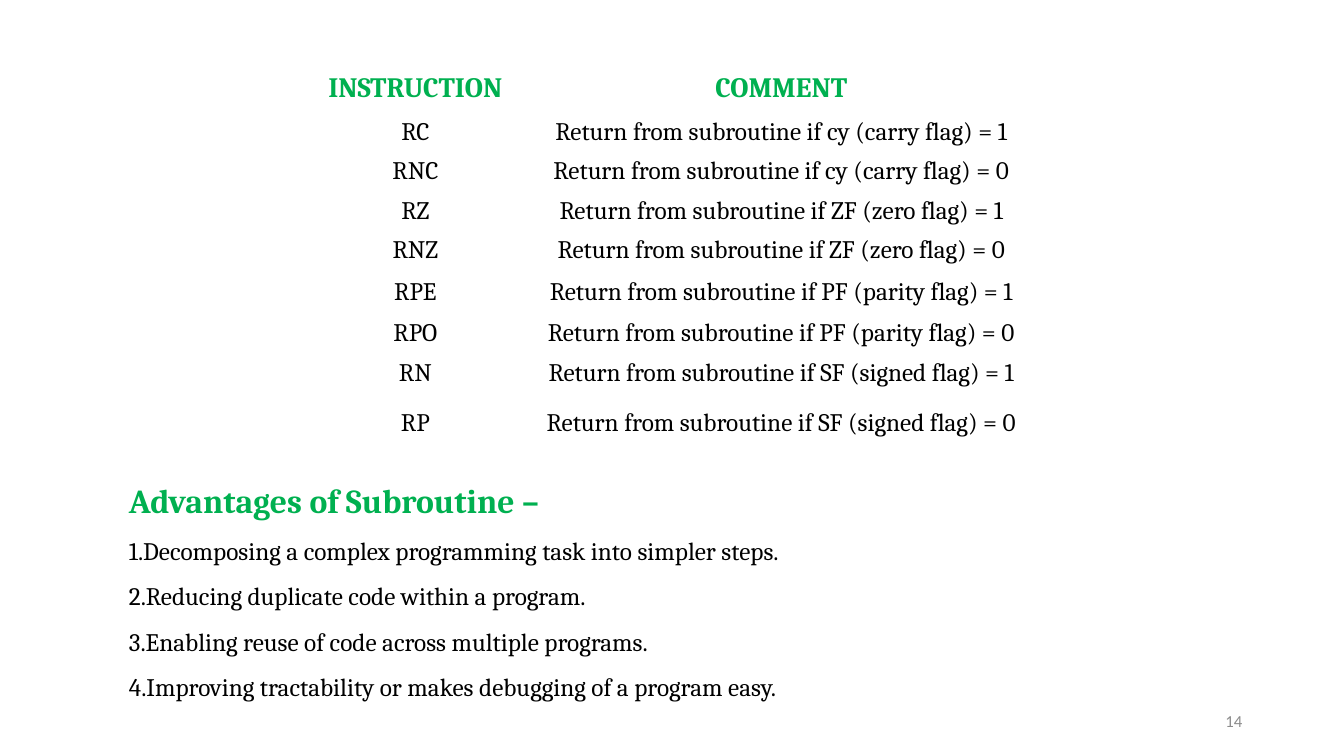
"""Build the slide on conditional return instructions and the advantages of subroutines."""
from lxml import etree
from pptx import Presentation
from pptx.dml.color import RGBColor
from pptx.enum.text import MSO_ANCHOR, MSO_AUTO_SIZE, PP_ALIGN
from pptx.oxml.ns import qn
from pptx.util import Inches, Pt

CENTER, JUSTIFY, RIGHT = PP_ALIGN.CENTER, PP_ALIGN.JUSTIFY, PP_ALIGN.RIGHT
MIDDLE = MSO_ANCHOR.MIDDLE
GROW = MSO_AUTO_SIZE.SHAPE_TO_FIT_TEXT
COLORS = {"heading": "00B050", "body": "000000", "number": "8C8C8C", "cell": "FFFFFF"}


def style(paragraph, size, color, align, bold=False, font="Cambria"):
    paragraph.alignment = align
    for run in paragraph.runs:
        run.font.size = Pt(size)
        run.font.name = font
        run.font.bold = bold
        run.font.color.rgb = RGBColor.from_string(COLORS[color])


def add_text(left, top, width, height, lines):
    frame = slide.shapes.add_textbox(
        Inches(left), Inches(top), Inches(width), Inches(height)).text_frame
    frame.word_wrap = True
    frame.text = "\n".join(lines)
    return frame


prs = Presentation()
prs.slide_width, prs.slide_height = Inches(13.33), Inches(7.5)
slide = prs.slides.add_slide(prs.slide_layouts[6])

flags = [
    ("RC", "RNC", "cy (carry flag)"),
    ("RZ", "RNZ", "ZF (zero flag)"),
    ("RPE", "RPO", "PF (parity flag)"),
    ("RN", "RP", "SF (signed flag)"),
]
instructions = [("INSTRUCTION", "COMMENT")]
for if_set, if_clear, flag in flags:
    for name, value in ((if_set, 1), (if_clear, 0)):
        instructions.append((name, f"Return from subroutine if {flag} = {value}"))

column_widths = [2.02, 5.24]
row_heights = [0.43] + [0.37] * 4 + [0.44] + [0.37] * 2 + [0.62]
table = slide.shapes.add_table(
    len(row_heights), len(column_widths), Inches(3.11), Inches(0.64),
    Inches(sum(column_widths)), Inches(sum(row_heights))).table
table.first_row = table.horz_banding = False
for column, width in zip(table.columns, column_widths):
    column.width = Inches(width)

for r, (height, entries) in enumerate(zip(row_heights, instructions)):
    table.rows[r].height = Inches(height)
    for c, entry in enumerate(entries):
        cell = table.cell(r, c)
        cell.text_frame.text = entry
        cell.vertical_anchor = MIDDLE
        cell.fill.solid()
        cell.fill.fore_color.rgb = RGBColor.from_string(COLORS["cell"])
        if r == 0:
            cell.margin_left = cell.margin_right = Inches(0.08)
            cell.margin_top = cell.margin_bottom = Inches(0.08)
            style(cell.text_frame.paragraphs[0], 20, "heading", CENTER, bold=True)
        else:
            style(cell.text_frame.paragraphs[0], 18, "body", CENTER)

advantages = add_text(1.18, 4.51, 9.95, 2.47, [
    "Advantages of Subroutine –",
    "Decomposing a complex programming task into simpler steps.",
    "Reducing duplicate code within a program.",
    "Enabling reuse of code across multiple programs.",
    "Improving tractability or makes debugging of a program easy.",
])
advantages.auto_size = GROW
heading, *points = advantages.paragraphs
heading.line_spacing = 1.5
style(heading, 24, "heading", JUSTIFY, bold=True)
for point in points:
    point.line_spacing = 1.5
    style(point, 18, "body", JUSTIFY)
    numbering = etree.SubElement(point._p.get_or_add_pPr(), qn("a:buAutoNum"))
    numbering.set("type", "arabicPeriod")

page_number = add_text(9.42, 6.95, 3, 0.4, ["14"])
page_number.vertical_anchor = MIDDLE
style(page_number.paragraphs[0], 12, "number", RIGHT, font="Calibri")

prs.save("out.pptx")
